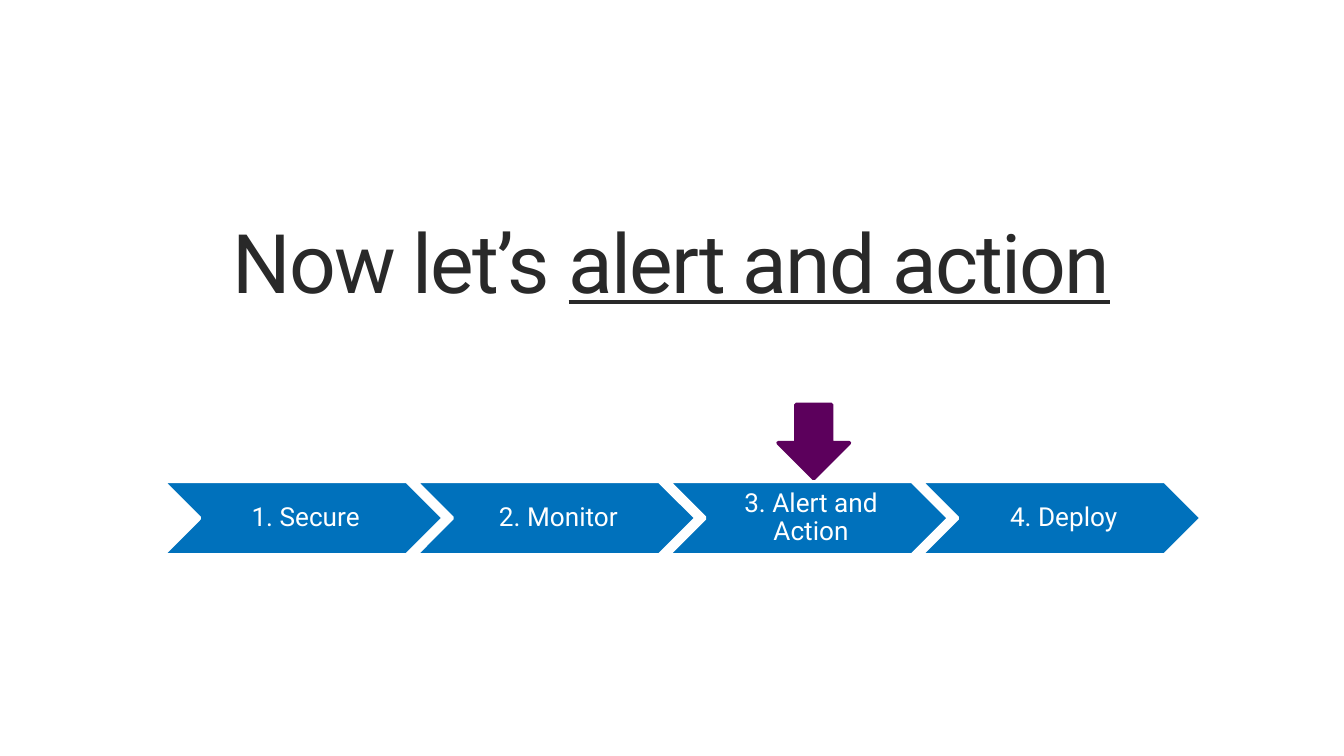
from pptx import Presentation
from pptx.dml.color import RGBColor
from pptx.enum import shapes, text
from pptx.util import Inches, Pt

FONT = "Roboto"
INK, WHITE, BLUE, PURPLE = "292929", "FFFFFF", "0071BC", "5C005C"
STEPS = ["1. Secure", "2. Monitor", "3. Alert and Action", "4. Deploy"]
STEP_WIDTH, STEP_PITCH = 2.09, 1.88


def color(value):
    return RGBColor.from_string(value)


def set_insets(frame, left, top, right, bottom):
    frame.margin_left, frame.margin_top = Inches(left), Inches(top)
    frame.margin_right, frame.margin_bottom = Inches(right), Inches(bottom)


def format_text(frame, size, ink):
    frame.word_wrap = True
    frame.vertical_anchor = text.MSO_ANCHOR.MIDDLE
    para = frame.paragraphs[0]
    para.alignment = text.PP_ALIGN.CENTER
    para.line_spacing = 0.9
    para.font.name, para.font.size = FONT, Pt(size)
    para.font.color.rgb = color(ink)


def add_block(page, kind, left, top, width, height, fill, line):
    block = page.shapes.add_shape(
        kind, Inches(left), Inches(top), Inches(width), Inches(height))
    block.shadow.inherit = False
    block.fill.solid()
    block.fill.fore_color.rgb = color(fill)
    block.line.color.rgb = color(line)
    block.line.width = Pt(2)
    return block


def place_title(page, left, top, width, height):
    title = page.shapes.title
    title.left, title.top = Inches(left), Inches(top)
    title.width, title.height = Inches(width), Inches(height)
    frame = title.text_frame
    set_insets(frame, 0, 0, 0, 0)
    for words, underlined in (("Now let’s ", False), ("alert and action", True)):
        span = frame.paragraphs[0].add_run()
        span.text = words
        if underlined:
            span.font.underline = True
        span._r.get_or_add_rPr().set("spc", "-100")
    format_text(frame, 44, INK)


def add_process(page, left, top, height, current):
    """Draw the chain of steps and an arrow above the current one."""
    for index, label in enumerate(STEPS):
        step = add_block(page, shapes.MSO_SHAPE.CHEVRON, left + index * STEP_PITCH,
                         top, STEP_WIDTH, height, BLUE, WHITE)
        frame = step.text_frame
        frame.text = label
        set_insets(frame, 0.06, 0.02, 0.02, 0.02)
        format_text(frame, 14, WHITE)
    arrow_width, arrow_height = 0.53, 0.55
    center = left + current * STEP_PITCH + STEP_WIDTH / 2
    add_block(page, shapes.MSO_SHAPE.DOWN_ARROW,
              center + 0.04 - arrow_width / 2, top - arrow_height - 0.02,
              arrow_width, arrow_height, PURPLE, PURPLE)


def main():
    deck = Presentation()
    deck.slide_width = Inches(10)
    deck.slide_height = deck.slide_width * 9 // 16
    page = deck.slides.add_slide(deck.slide_layouts[5])
    page.background.fill.solid()
    page.background.fill.fore_color.rgb = color(WHITE)
    place_title(page, 0.42, 1.65, 9.15, 0.67)
    add_process(page, 1.21, 3.58, 0.55, current=2)
    deck.save("out.pptx")


if __name__ == "__main__":
    main()
